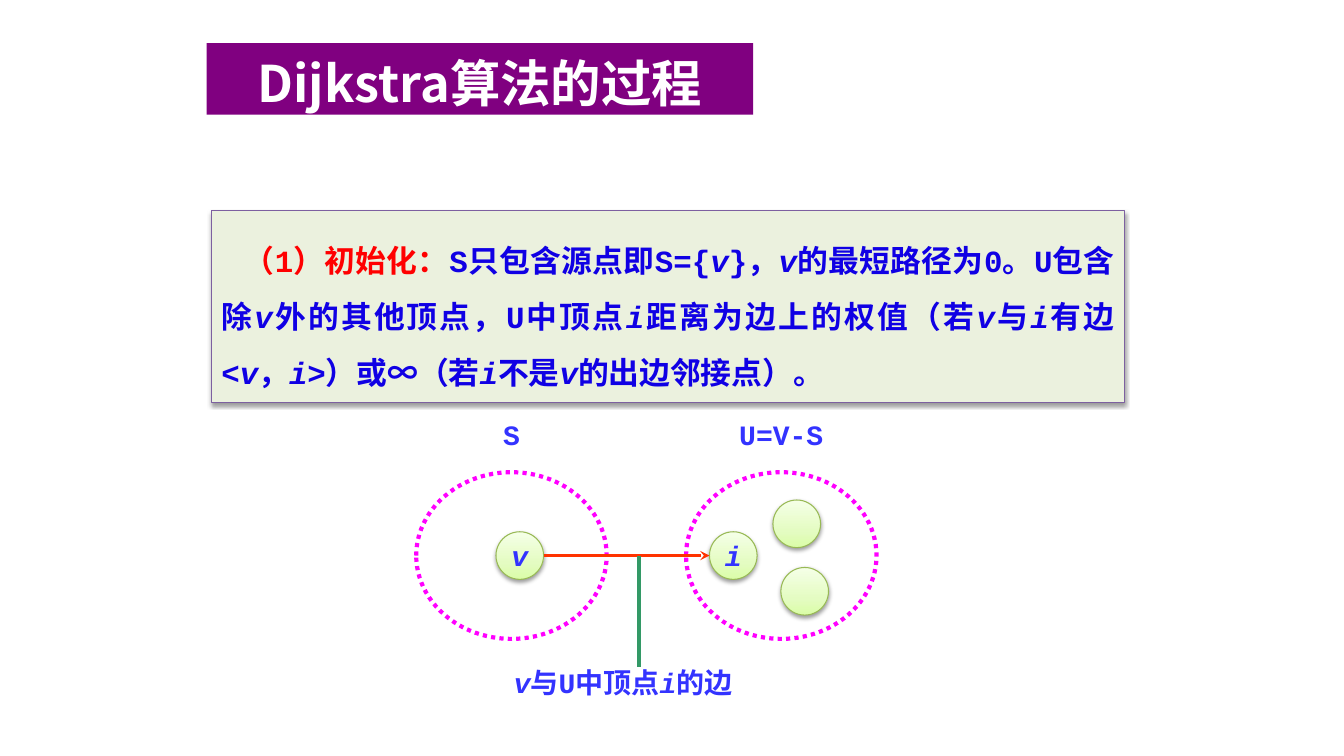
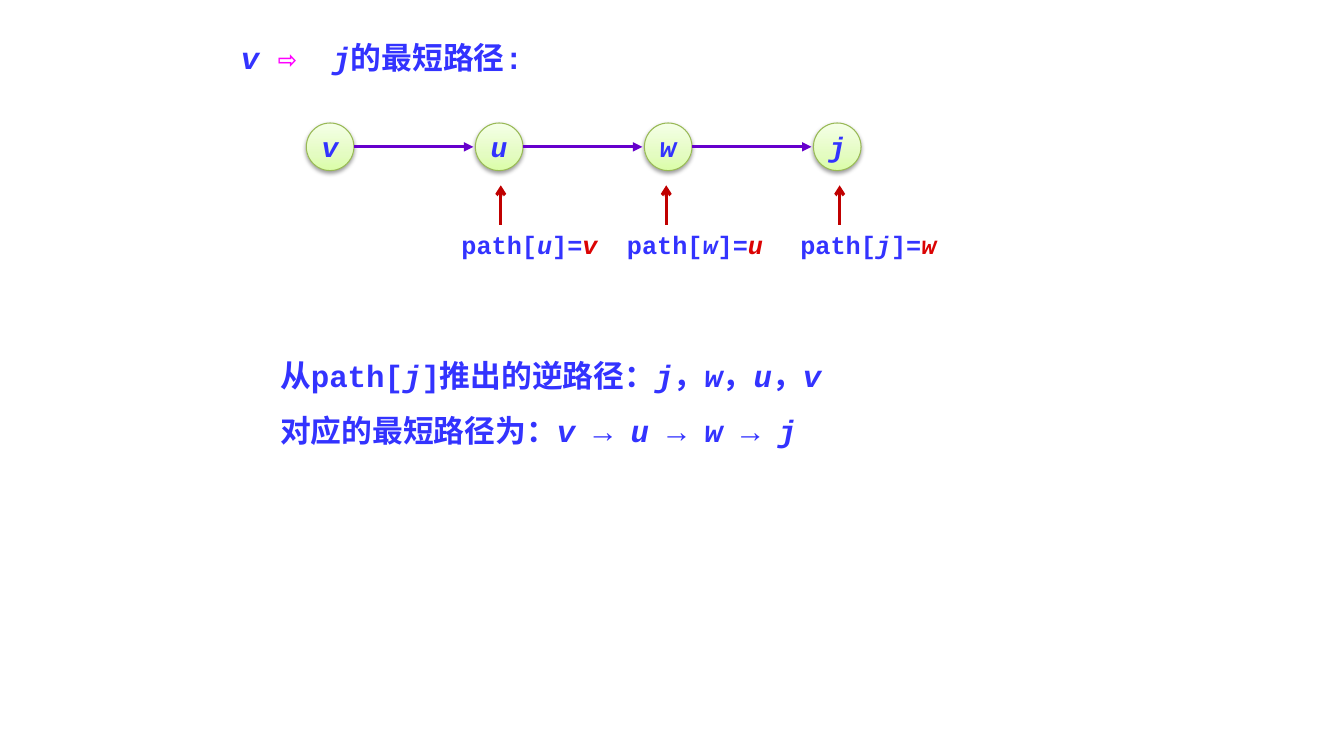
from dataclasses import dataclass
from itertools import pairwise

from lxml.etree import SubElement
from pptx import Presentation
from pptx.dml.color import RGBColor
from pptx.enum.dml import MSO_LINE
from pptx.enum.shapes import MSO_CONNECTOR, MSO_SHAPE
from pptx.enum.text import MSO_ANCHOR, PP_ALIGN
from pptx.oxml.ns import qn
from pptx.util import Cm, Pt


@dataclass(frozen=True)
class Theme:
    mono: str = "Courier New"
    sans: str = "Noto Sans CJK SC"
    blue: str = "3333FF"
    ink: str = "1000E4"
    red: str = "FF0000"
    crimson: str = "DB0303"
    pink: str = "FF00FF"
    white: str = "FFFFFF"
    banner: str = "800080"
    panel: str = "EBF1DE"
    border: str = "7D60A0"
    rim: str = "98B955"
    flame: str = "FF3300"
    stem: str = "339966"
    edge: str = "6600CC"
    pointer: str = "C00000"
    glow: tuple = ((0, "DAFDA7"), (35, "E4FCC2"), (100, "F5FFE7"))
    title: int = 36
    body: int = 22
    label: int = 20
    small: int = 18
    node: float = 1.2


T = Theme()


def paint(color):
    return RGBColor.from_string(color)


def write(shape, *paras, size=T.label, color=T.blue, font=T.mono,
          align=PP_ALIGN.LEFT, pitch=None, gap=0, indent=0, tab=None,
          inset=(0.25, 0.13), anchor=MSO_ANCHOR.TOP, wrap=True):
    """Fill a shape; a paragraph is a list of (text, colour) or a string.

    Text between underscores is italic. Pitch and gap are in points.
    """
    frame = shape.text_frame
    frame.word_wrap, frame.vertical_anchor = wrap, anchor
    frame.margin_left = frame.margin_right = Cm(inset[0])
    frame.margin_top = frame.margin_bottom = Cm(inset[1])
    for n, parts in enumerate(paras):
        para = frame.add_paragraph() if n else frame.paragraphs[0]
        para.alignment = align
        if pitch:
            para.line_spacing = Pt(pitch)
        if n:
            para.space_before = Pt(gap)
        props = para._p.get_or_add_pPr()
        if indent:
            props.set("indent", str(Cm(indent)))
        if tab:
            stops = SubElement(props, qn("a:tabLst"))
            SubElement(stops, qn("a:tab"), pos=str(Cm(tab)), algn="l")
        if isinstance(parts, str):
            parts = [(parts, color)]
        for text, tint in parts:
            for k, piece in enumerate(text.split("_")):
                if not piece:
                    continue
                run = para.add_run()
                run.text = piece
                run.font.name, run.font.size = font, Pt(size)
                run.font.bold, run.font.italic = True, k % 2 == 1
                run.font.color.rgb = paint(tint)
                SubElement(run._r.rPr, qn("a:ea"), typeface=T.sans)


def label(slide, x, y, w, h, *paras, **style):
    box = slide.shapes.add_textbox(Cm(x), Cm(y), Cm(w), Cm(h))
    write(box, *paras, **style)


def block(slide, kind, x, y, w, h, fill=None, line=None, width=0.75,
          shadow=False):
    shape = slide.shapes.add_shape(kind, Cm(x), Cm(y), Cm(w), Cm(h))
    shape.shadow.inherit = False
    if fill:
        shape.fill.solid()
        shape.fill.fore_color.rgb = paint(fill)
    else:
        shape.fill.background()
    if line:
        shape.line.color.rgb = paint(line)
        shape.line.width = Pt(width)
    else:
        shape.line.fill.background()
    if shadow:
        effects = shape._element.spPr.find(qn("a:effectLst"))
        cast = SubElement(effects, qn("a:outerShdw"), blurRad=str(Pt(3.1)),
                          dist=str(Pt(1.6)), dir="5400000", rotWithShape="0")
        black = SubElement(cast, qn("a:srgbClr"), val="000000")
        SubElement(black, qn("a:alpha"), val="38000")
    return shape


def node(slide, x, y, name=""):
    """Draw a shaded vertex centred on x, y."""
    d = T.node
    ball = block(slide, MSO_SHAPE.OVAL, x - d / 2, y - d / 2, d, d,
                 line=T.rim, shadow=True)
    ball.fill.gradient()
    ball.fill.gradient_angle = 90
    stops = ball._element.spPr.find(".//" + qn("a:gsLst"))
    for old in list(stops):
        stops.remove(old)
    for pos, color in T.glow:
        stop = SubElement(stops, qn("a:gs"), pos=str(pos * 1000))
        SubElement(stop, qn("a:srgbClr"), val=color)
    if name:
        write(ball, f"_{name}_", align=PP_ALIGN.CENTER,
              anchor=MSO_ANCHOR.MIDDLE, wrap=False)


def link(slide, start, end, color, width=2.25, head=None):
    line = slide.shapes.add_connector(
        MSO_CONNECTOR.STRAIGHT, *map(Cm, (*start, *end)))
    line.line.color.rgb = paint(color)
    line.line.width = Pt(width)
    if head:
        SubElement(line.line._get_or_add_ln(), qn("a:tailEnd"), type=head)
    SubElement(line._element.spPr, qn("a:effectLst"))


def ring(slide, x, y, name):
    """Draw a dotted vertex set centred on x, y with its name above."""
    w, h = 4.8, 4.2
    oval = block(slide, MSO_SHAPE.OVAL, x - w / 2, y - h / 2, w, h,
                 line=T.pink, width=3)
    oval.line.dash_style = MSO_LINE.ROUND_DOT
    label(slide, x - 1.4, 10.52, 2.8, 0.86, name,
          align=PP_ALIGN.CENTER, inset=(0, 0))


def setup(slide):
    panel = block(slide, MSO_SHAPE.RECTANGLE, 5.33, 5.31, 23.01, 4.83,
                  fill=T.panel, line=T.border, shadow=True)
    write(panel, [
        ("（1）初始化：", T.red),
        ("S只包含源点即S={_v_}，_v_的最短路径为0。"
         "U包含除_v_外的其他顶点，U中顶点_i_距离为边上的权值"
         "（若_v_与_i_有边<_v_，_i_>）或∞"
         "（若_i_不是_v_的出边邻接点）。", T.ink),
    ], size=T.body, align=PP_ALIGN.JUSTIFY, pitch=40, indent=0.56,
        inset=(0.25, 0.3))
    banner = block(slide, MSO_SHAPE.RECTANGLE, 5.21, 1.09, 13.77, 1.8,
                   fill=T.banner)
    write(banner, "Dijkstra算法的过程", size=T.title, color=T.white,
          font=T.sans, align=PP_ALIGN.CENTER, pitch=46)

    mid, left, right = 14, 13.1, 18.48
    ring(slide, 12.89, mid, "S")
    ring(slide, 19.69, mid, "U=V-S")
    for x, y, name in ((left, mid, "v"), (right, mid, "i"),
                       (20.28, 14.9, ""), (20.08, 13.2, "")):
        node(slide, x, y, name)
    label(slide, 12.7, 16.61, 7.59, 1.09, "_v_与U中顶点_i_的边", pitch=25)
    half = T.node / 2
    link(slide, (left + half, mid), (right - half, mid), T.flame,
         head="stealth")
    link(slide, (16.1, mid), (16.1, 16.81), T.stem, width=3)


def trace(slide):
    label(slide, 5.82, 0.79, 7.34, 1.19,
          [("_v_ ", T.blue), ("⇨\t", T.pink), ("_j_的最短路径:", T.blue)],
          size=T.body, pitch=28, tab=2.31)
    names, y, half = "vuwj", 3.7, T.node / 2
    spots = [8.32 + 4.26 * n for n in range(len(names))]
    for x, name in zip(spots, names):
        node(slide, x, y, name)
    for a, b in pairwise(spots):
        link(slide, (a + half, y), (b - half - 0.05, y), T.edge,
             head="triangle")
    for x, (prior, name) in zip((12.62, 16.79, 21.16), pairwise(names)):
        link(slide, (x, 5.66), (x, 4.67), T.pointer, head="arrow")
        label(slide, x - 1.24, 5.64, 3.96, 1.02,
              [(f"path[_{name}_]=", T.blue), (f"_{prior}_", T.crimson)],
              size=T.small)
    label(slide, 6.81, 8.74, 14.17, 2.79,
          "从path[_j_]推出的逆路径：_j_，_w_，_u_，_v_",
          "对应的最短路径为：_v_ → _u_ → _w_ → _j_",
          size=T.body, pitch=30, gap=9)


def main():
    deck = Presentation()
    deck.slide_width, deck.slide_height = Cm(33.87), Cm(19.05)
    for draw in (setup, trace):
        draw(deck.slides.add_slide(deck.slide_layouts[6]))
    deck.save("out.pptx")


if __name__ == "__main__":
    main()
